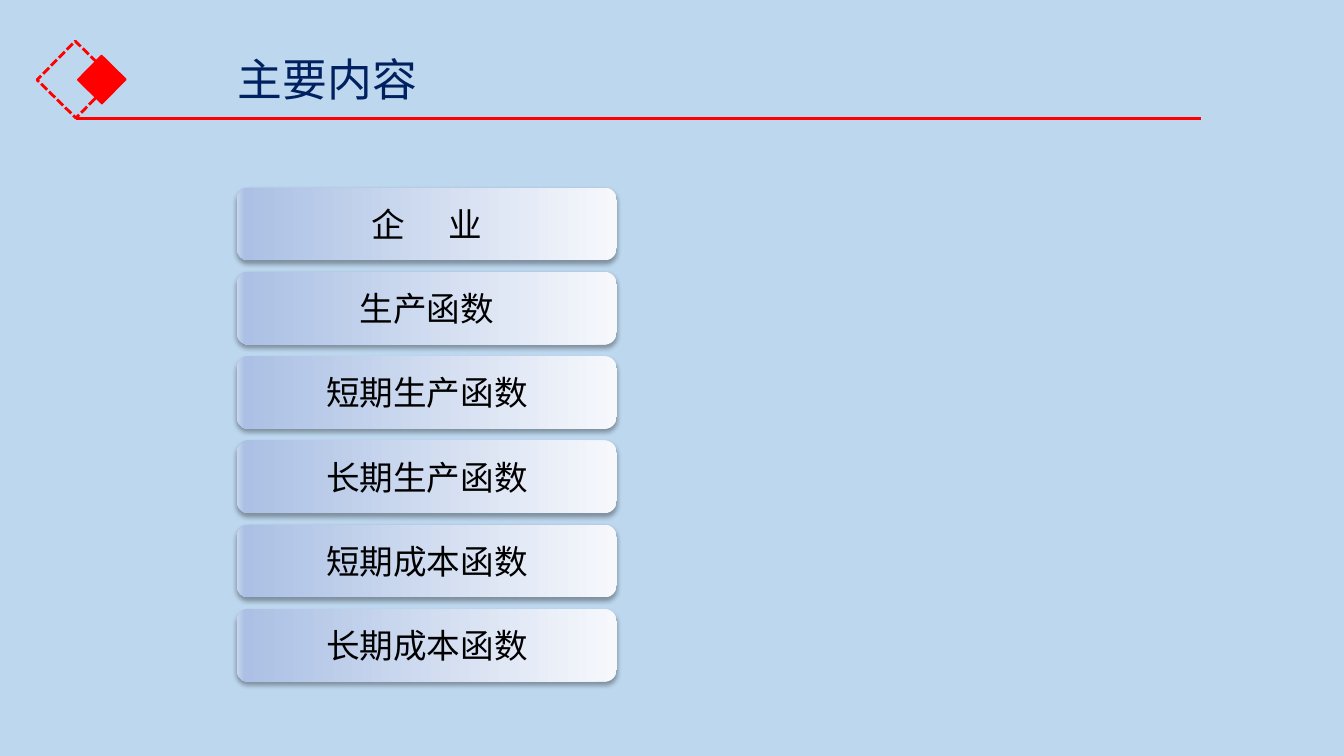
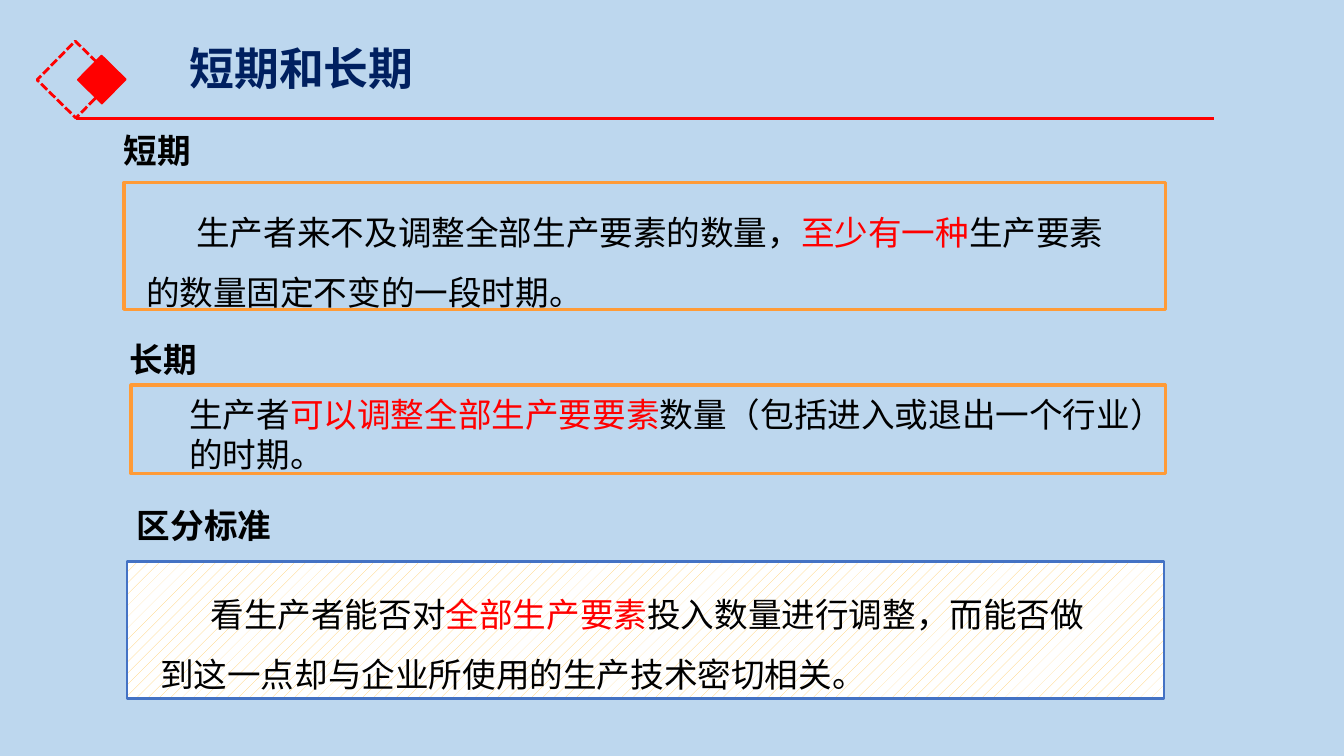
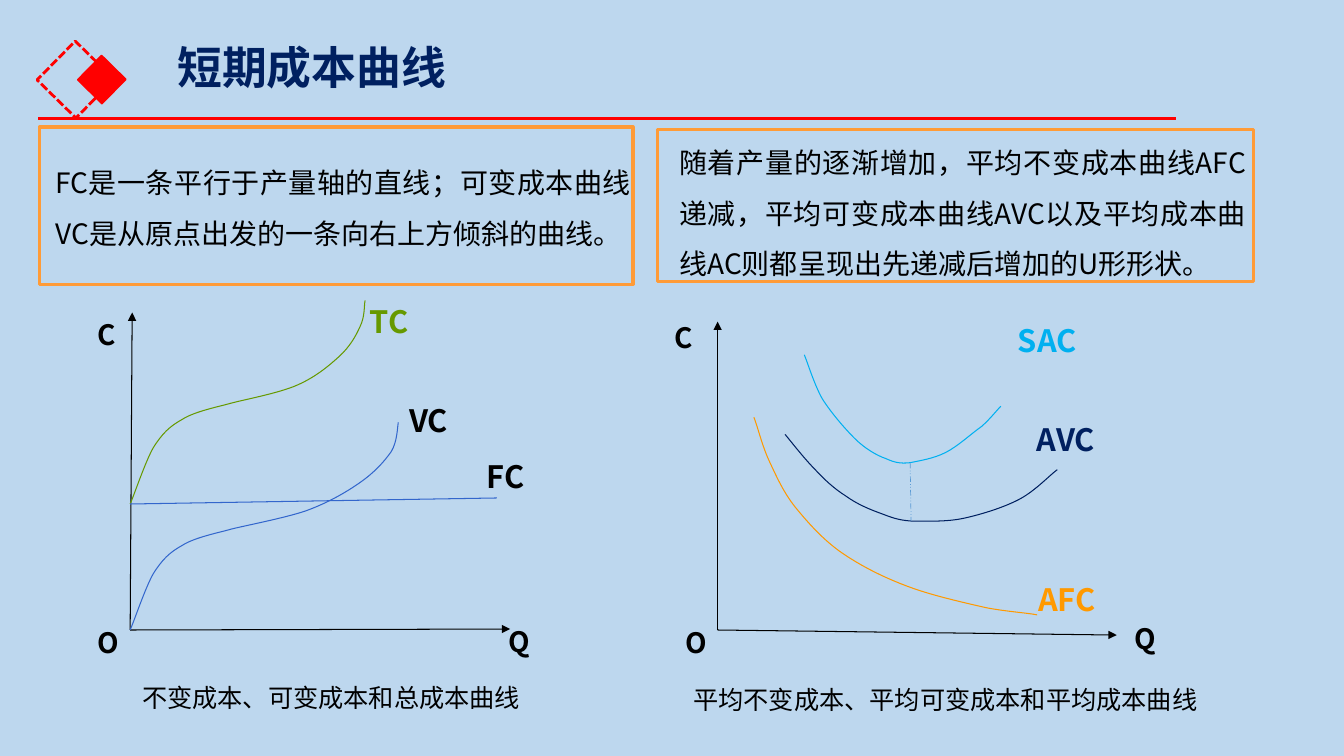
from dataclasses import dataclass

from lxml.etree import SubElement
from pptx import Presentation
from pptx.dml.color import RGBColor as Rgb
from pptx.enum.dml import MSO_LINE as Dash, MSO_PATTERN as Pattern
from pptx.enum.shapes import MSO_CONNECTOR as Link, MSO_SHAPE as Form
from pptx.enum.text import MSO_ANCHOR as Anchor, MSO_AUTO_SIZE as Fit, PP_ALIGN as Align
from pptx.oxml.ns import qn
from pptx.util import Pt


@dataclass(frozen=True)
class Theme:
    font: str = "Noto Sans CJK SC"
    page: str = "BDD7EE"
    navy: str = "002060"
    ink: str = "000000"
    red: str = "FF0000"
    orange: str = "FF9B37"
    blue: str = "4472C4"
    hatch: str = "FFCC66"
    white: str = "FFFFFF"
    cost_blue: str = "3366CC"
    cost_green: str = "669900"
    cost_orange: str = "FF9900"
    cost_sky: str = "00B0F0"
    guide: str = "5B9BD5"
    button_stops: tuple = ((0, "F6F8FC"), (98, "ABC0E4"), (100, "C7D5ED"))
    title_size: int = 32
    body_size: int = 24
    curve_size: int = 22
    note_size: int = 20
    caption_size: int = 18


THEME = Theme()

# Cost curves: Bezier points in points from the chart origin, y upwards
RISE_START = [(0, 0), (2.9, 6.5), (10.8, 30.2), (16.6, 40.3), (23, 50.4),
              (28.1, 55.4), (37.4, 60.5), (46.1, 66.2), (64.8, 69.8), (72, 72)]
VC_END = [(72, 72), (80.6, 74.2), (110.2, 79.9), (125.3, 85), (141.1, 90.7),
          (154.8, 98.6), (164.9, 105.8), (175, 113), (181.4, 120.2),
          (186.5, 127.4), (190.8, 134.6), (190.8, 144), (191.5, 148.3)]
TC_END = [(72, 162), (79.9, 164.2), (106.6, 169.2), (119.5, 175), (132.5, 180.7),
          (141.8, 188.6), (149, 195.1), (157, 202.3), (161.3, 210.2),
          (164.2, 216.7), (167.8, 223.9), (167, 231.8), (167.8, 235.4)]
AFC = [(25.9, 151.9), (28.1, 146.9), (31.7, 131.8), (36.7, 121), (41.8, 110.2),
       (46.8, 98.6), (55.4, 87.8), (64.8, 76.3), (75.6, 64.1), (89.3, 54.7),
       (103, 45.4), (118.8, 37.4), (136.1, 31), (153.4, 24.5), (176.4, 19.4),
       (192.2, 15.8), (207.4, 13), (221, 12.2), (228.2, 10.8)]
AVC = [(48.2, 139.7), (51.8, 135.4), (61.9, 122.4), (69.1, 115.2), (76.3, 107.3),
       (83.5, 100.8), (91.4, 95.8), (99.4, 90), (108, 86.4), (115.9, 83.5),
       (123.8, 80.6), (128.2, 78.5), (138.2, 77.8), (148.3, 77.8), (163.4, 77),
       (176.4, 79.9), (189.4, 82.8), (205.2, 87.8), (216, 93.6), (226.8, 99.4),
       (236.9, 110.2), (242.6, 114.5)]
SAC = [(61.9, 196.6), (64.1, 191.5), (69.1, 175), (74.9, 164.9), (81.4, 154.8),
       (90.7, 144), (97.9, 136.8), (105.1, 129.6), (113.8, 124.6), (120.2, 122.4),
       (126.7, 119.5), (130.3, 118.8), (137.5, 119.5), (144.7, 121),
       (154.1, 122.4), (162.7, 126.7), (171.4, 131), (181.4, 140.4),
       (188.6, 145.4), (195.1, 151.2), (199.4, 157), (202.3, 159.8)]


def rgb(colour):
    return Rgb.from_string(colour)


def points(box):
    return [Pt(length) for length in box]


def stroke(line, colour, width, dash=None):
    line.color.rgb = rgb(colour)
    line.width = Pt(width)
    if dash:
        line.dash_style = dash


def style_span(span, size, colour, bold):
    span.font.size = Pt(size)
    span.font.bold = bold
    span.font.color.rgb = rgb(colour)
    span.font.name = THEME.font
    SubElement(span._r.get_or_add_rPr(), qn("a:ea")).set("typeface", THEME.font)


def write(frame, text, size, colour=THEME.ink, bold=False, align=Align.LEFT,
          spacing=1.0, indent=0, anchor=Anchor.TOP, wrap=True):
    """Fill a text frame; words between asterisks are red."""
    frame.text = text.replace("*", "")
    frame.word_wrap = wrap
    frame.auto_size = Fit.NONE
    frame.vertical_anchor = anchor
    for para, line in zip(frame.paragraphs, text.split("\n")):
        para.text = ""
        para.alignment = align
        para.line_spacing = spacing
        if indent:
            para._p.get_or_add_pPr().set("indent", str(Pt(indent)))
        for place, words in enumerate(line.split("*")):
            if words:
                span = para.add_run()
                span.text = words
                style_span(span, size, THEME.red if place % 2 else colour, bold)


def add_text(page, box, text, size, **style):
    write(page.shapes.add_textbox(*points(box)).text_frame, text, size, **style)


def add_form(page, form, box):
    shape = page.shapes.add_shape(form, *points(box))
    shape.shadow.inherit = False
    return shape


def add_line(page, start, end, colour, width, dash=None, arrow=False):
    link = page.shapes.add_connector(Link.STRAIGHT, *points((*start, *end)))
    stroke(link.line, colour, width, dash)
    properties = link._element.spPr
    if arrow:
        SubElement(properties.find(qn("a:ln")), qn("a:tailEnd")).set("type", "triangle")
    SubElement(properties, qn("a:effectLst"))


def add_curve(page, nodes, colour):
    """Draw a Bezier curve: a start point, then two handles and an end each."""
    nodes = [tuple(points(node)) for node in nodes]
    builder = page.shapes.build_freeform(*nodes[0])
    builder.add_line_segments(nodes[1:], close=False)
    shape = builder.convert_to_shape()
    shape.shadow.inherit = False
    shape.fill.background()
    stroke(shape.line, colour, 0.75)
    outline = next(shape._element.iter(qn("a:path")))
    segments = outline.findall(qn("a:lnTo"))
    for first in range(0, len(segments), 3):
        bend = SubElement(outline, qn("a:cubicBezTo"))
        for segment in segments[first:first + 3]:
            bend.append(segment[0])
            outline.remove(segment)


def add_frame(page, box):
    frame = add_form(page, Form.RECTANGLE, box)
    frame.fill.background()
    stroke(frame.line, THEME.orange, 2.25)


def add_page(deck, title, box, rule, bold=True, spacing=0.9):
    """Add a slide with its title, red emblem and rule."""
    page = deck.slides.add_slide(deck.slide_layouts[5])
    holder = page.shapes.title
    holder.left, holder.top, holder.width, holder.height = points(box)
    write(holder.text_frame, title, THEME.title_size, THEME.navy, bold, spacing=spacing)
    # Emblem
    outer = add_form(page, Form.RECTANGLE, (34.6, 37.4, 38.9, 38.9))
    outer.fill.background()
    stroke(outer.line, THEME.red, 2, Dash.SQUARE_DOT)
    inner = add_form(page, Form.RECTANGLE, (60.5, 44.6, 24.5, 24.5))
    inner.fill.solid()
    inner.fill.fore_color.rgb = rgb(THEME.red)
    stroke(inner.line, THEME.red, 1)
    outer.rotation = inner.rotation = 314.5
    # Rule
    add_line(page, (rule[0], 84.4), (rule[1], 84.4), THEME.red, 2.25)
    return page


def add_button(page, box, text):
    button = add_form(page, Form.ROUNDED_RECTANGLE, box)
    button.line.fill.background()
    button.fill.gradient()
    button.fill.gradient_angle = 180
    properties = button._element.spPr
    stops = next(properties.iter(qn("a:gsLst")))
    for stop in list(stops):
        stops.remove(stop)
    for position, colour in THEME.button_stops:
        stop = SubElement(stops, qn("a:gs"), pos=str(position * 1000))
        SubElement(stop, qn("a:srgbClr"), val=colour)
    # Soft shadow below
    shadow = SubElement(properties.find(qn("a:effectLst")), qn("a:outerShdw"),
                        blurRad=str(Pt(3.5)), dist=str(Pt(2.2)), dir="5400000")
    shade = SubElement(shadow, qn("a:srgbClr"), val=THEME.ink)
    SubElement(shade, qn("a:alpha"), val="32000")
    write(button.text_frame, text, THEME.body_size, align=Align.CENTER,
          anchor=Anchor.MIDDLE)
    return button


def add_menu(page, box, topics, pitch):
    left, top, width, height = box
    return [add_button(page, (left, top + row * pitch, width, height), topic)
            for row, topic in enumerate(topics)]


def add_cost_chart(page, origin, axis_ends, axis_labels, curves, lines, labels, caption):
    """Place axes, curves, labels and caption from the origin, y upwards."""
    def at(x, y):
        return origin[0] + x, origin[1] - y

    for end in axis_ends:
        add_line(page, origin, at(*end), THEME.ink, 0.75, arrow=True)
    for nodes, colour in curves:
        add_curve(page, [at(*node) for node in nodes], colour)
    for start, end, colour, width, dash in lines:
        add_line(page, at(*start), at(*end), colour, width, dash)
    # Axis and curve names
    for name, place in axis_labels:
        add_text(page, (*at(*place), 23.8, 18), name, THEME.note_size, bold=True,
                 anchor=Anchor.MIDDLE, wrap=False)
    for name, place, colour in labels:
        add_text(page, (*at(*place), 48.2, 23.8), name, THEME.curve_size, colour=colour,
                 bold=True, anchor=Anchor.MIDDLE, wrap=False)
    text, place, width = caption
    add_text(page, (*at(*place), width, 28.8), text, THEME.caption_size)


def build_contents(deck):
    page = add_page(deck, "主要内容", (162.7, 33.1, 357, 46), (54, 858),
                    bold=False, spacing=1.0)
    topics = ["企 业", "生产函数", "短期生产函数", "长期生产函数",
              "短期成本函数", "长期成本函数"]
    buttons = add_menu(page, (169.2, 134, 271.4, 52), topics, 60.2)
    # Widen the gap between the two characters of the first topic
    para = buttons[0].text_frame.paragraphs[0]
    head = para.runs[0]
    head.text = "企 "
    head._r.get_or_add_rPr().set("spc", "1300")
    tail = para.add_run()
    tail.text = "业"
    style_span(tail, THEME.body_size, THEME.ink, False)


def build_terms(deck):
    page = add_page(deck, "短期和长期", (128.2, 29.5, 828, 68.4), (54, 867))
    # Hatched panel
    panel = add_form(page, Form.RECTANGLE, (90.7, 401, 740.9, 97.9))
    panel.fill.patterned()
    panel.fill.pattern = Pattern.PERCENT_10
    panel.fill.fore_color.rgb = rgb(THEME.hatch)
    panel.fill.back_color.rgb = rgb(THEME.white)
    stroke(panel.line, THEME.blue, 1.75)
    # Headings
    for heading, left, top in (("短期", 81.4, 89.3), ("长期", 85.7, 238.3),
                               ("区分标准", 90.7, 357.1)):
        add_text(page, (left, top, 134.6, 36), heading, THEME.body_size, bold=True)
    # Definitions
    spread = dict(spacing=1.5, indent=36)
    for box, text, style in (
            ((97.2, 133.2, 716.4, 87.8),
             "生产者来不及调整全部生产要素的数量，*至少有一种*生产要素的数量固定不变的一段时期。",
             spread),
            ((128.2, 277.9, 787.7, 65.5),
             "生产者*可以调整全部生产要要素*数量（包括进入或退出一个行业）\n的时期。", {}),
            ((107.3, 406.1, 697, 89.3),
             "看生产者能否对*全部生产要素*投入数量进行调整，而能否做到这一点却与企业所使用的生产技术密切相关。",
             spread)):
        add_text(page, box, text, THEME.body_size, **style)
    add_frame(page, (88.6, 130.3, 743.8, 90.7))
    add_frame(page, (93.6, 275, 738.7, 63.4))


def build_curves(deck):
    page = add_page(deck, "短期成本曲线", (119.5, 28.8, 828, 68.4), (27.4, 840.2))
    # Total costs
    add_cost_chart(
        page, (93, 450),
        axis_ends=[(1.4, 226.8), (271.4, 0.7)],
        axis_labels=[("C", (-30.2, 220.3)), ("Q", (263.5, 0.7)), ("O", (-30.2, 0))],
        curves=[(RISE_START, THEME.cost_blue), (VC_END, THEME.cost_blue),
                ([(x, y + 90) for x, y in RISE_START], THEME.cost_green),
                (TC_END, THEME.cost_green)],
        lines=[((0, 90), (262, 94.3), THEME.cost_blue, 0.75, None)],
        labels=[("FC", (247.7, 121.7), THEME.ink), ("VC", (192.2, 162), THEME.ink),
                ("TC", (164.2, 232.6), THEME.cost_green)],
        caption=("不变成本、可变成本和总成本曲线", (1.4, -33.8), 305.3))
    # Average costs
    add_cost_chart(
        page, (512.6, 450),
        axis_ends=[(0, 220.3), (285.1, -3.6)],
        axis_labels=[("C", (-38.2, 218.2)), ("Q", (290.9, 2.9)), ("O", (-30.2, 0))],
        curves=[(AFC, THEME.cost_orange), (AVC, THEME.navy), (SAC, THEME.cost_sky)],
        lines=[((137.5, 119.5), (138.2, 77.8), THEME.guide, 0.5,
                Dash.DASH_DOT_DOT)],
        labels=[("AFC", (221.8, 33.8), THEME.cost_orange),
                ("AVC", (221, 148.3), THEME.navy),
                ("SAC", (207.4, 218.9), THEME.cost_sky)],
        caption=("平均不变成本、平均可变成本和平均成本曲线", (-24.5, -35.3), 375.1))
    # Framed notes
    for frame, box, text in (
            ((28.1, 90.7, 424.1, 112.3), (32.4, 103, 425.5, 79.9),
             "FC是一条平行于产量轴的直线；可变成本曲线VC是从原点出发的一条向右上方倾斜的曲线。"),
            ((469.4, 92.2, 426.2, 108.7), (478.1, 88.6, 419, 115.9),
             "随着产量的逐渐增加，平均不变成本曲线AFC递减，平均可变成本曲线AVC以及平均成本曲线AC则都呈现出先递减后增加的U形形状。")):
        add_text(page, box, text, THEME.note_size, align=Align.JUSTIFY, spacing=1.5)
        add_frame(page, frame)


def main():
    deck = Presentation()
    deck.slide_width, deck.slide_height = Pt(960), Pt(540)
    backdrop = deck.slide_master.background.fill
    backdrop.solid()
    backdrop.fore_color.rgb = rgb(THEME.page)
    for build in (build_contents, build_terms, build_curves):
        build(deck)
    deck.save("out.pptx")


if __name__ == "__main__":
    main()
